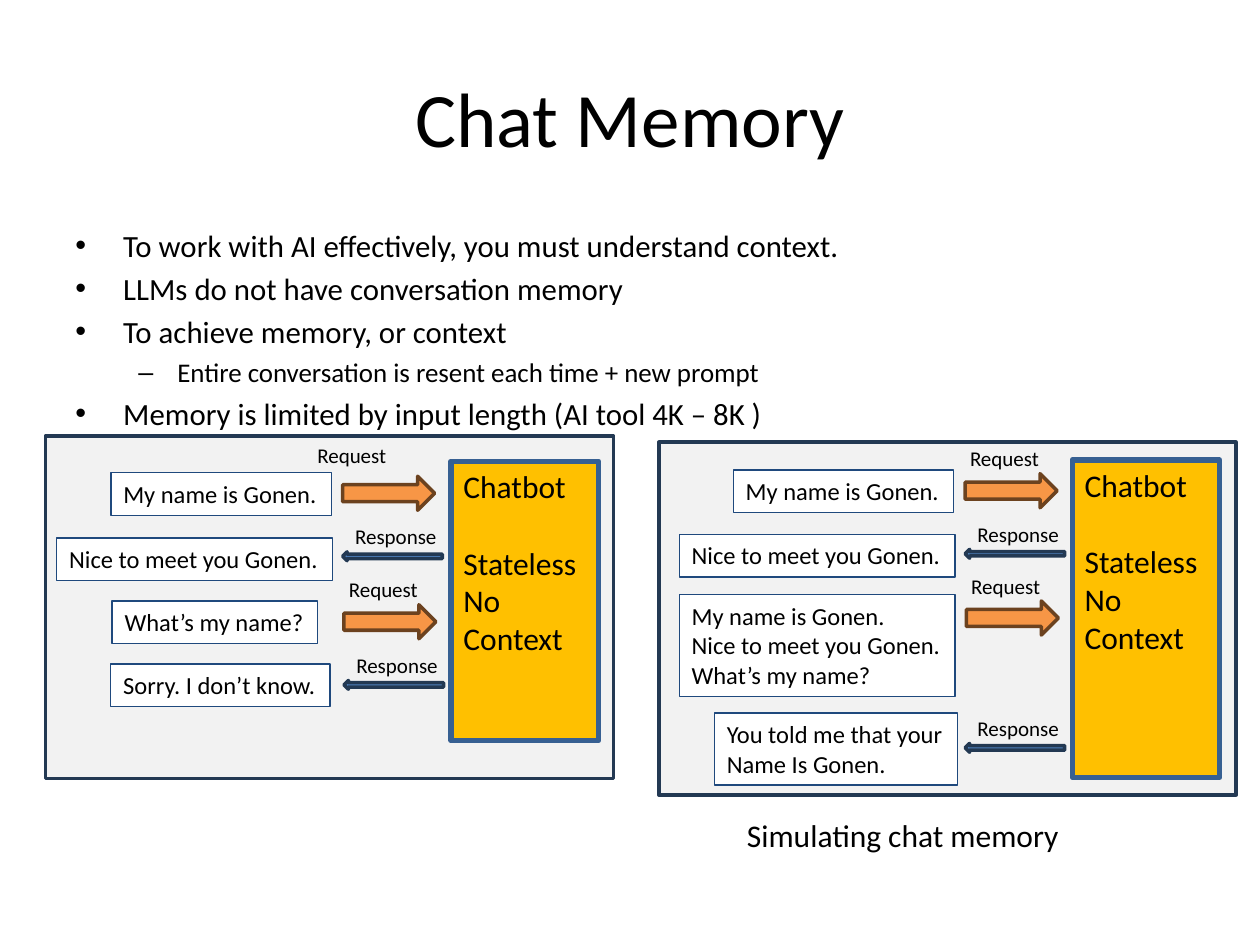
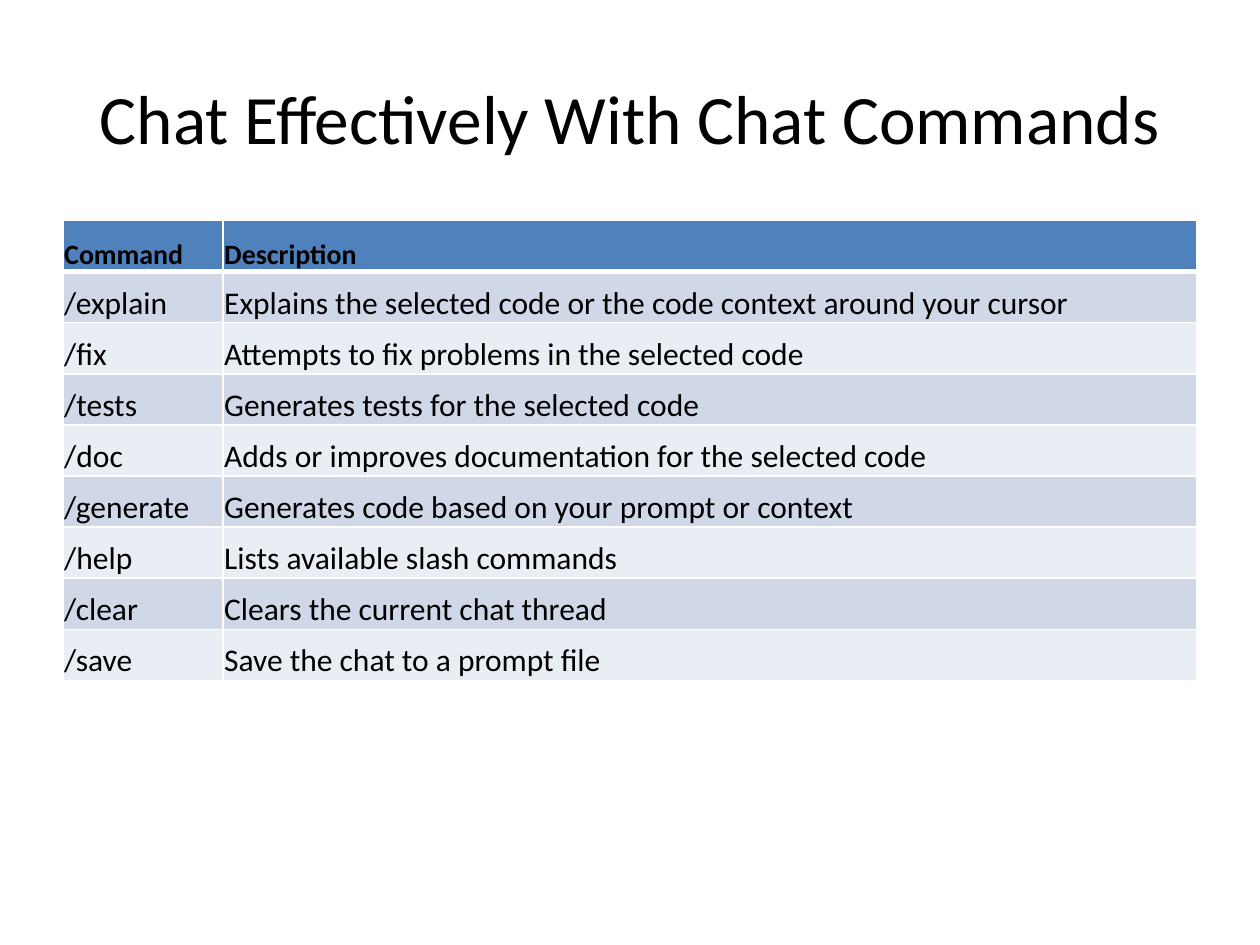
from lxml.etree import SubElement
from pptx import Presentation
from pptx.dml.color import RGBColor
from pptx.enum.shapes import MSO_SHAPE
from pptx.enum.text import MSO_ANCHOR, PP_ALIGN
from pptx.oxml.ns import qn
from pptx.util import Inches, Pt

FONT = "Calibri"
COLORS = {
    "text": "000000", "white": "FFFFFF", "panel": "F2F2F2", "navy": "233953",
    "message_line": "1F497D", "server": "FFC000", "server_line": "376092",
    "request": "F79646", "request_line": "6C421F", "response": "4F81BD",
    "header": "4F81BD", "band_dark": "D0D8E8", "band_light": "E9EDF4",
}

BULLETS = [
    (0, "To work with AI effectively, you must understand context."),
    (0, "LLMs do not have conversation memory"),
    (0, "To achieve memory, or context"),
    (1, "Entire conversation is resent each time + new prompt"),
    (0, "Memory is limited by input length (AI tool 4K – 8K )"),
]
# Per bullet level: character, indent, hanging part, text size
BULLET_LEVELS = [("•", 0.38, 0.38, 17.6), ("–", 0.81, 0.31, 15.4)]

# Exchanges: message lines, message box, arrow position (relative to the panel)
STATELESS_CHAT = [
    (["My name is Gonen."], (0.52, 0.29, 1.75, 0.34), (2.36, 0.32)),
    (["Nice to meet you Gonen."], (0.09, 0.81, 2.19, 0.34), (2.36, 0.92)),
    (["What’s my name?"], (0.53, 1.31, 1.63, 0.34), (2.37, 1.34)),
    (["Sorry. I don’t know."], (0.52, 1.81, 1.74, 0.34), (2.37, 1.94)),
]
SIMULATED_CHAT = [
    (["My name is Gonen."], (0.59, 0.22, 1.75, 0.34), (2.43, 0.25)),
    (["Nice to meet you Gonen."], (0.16, 0.73, 2.19, 0.34), (2.43, 0.85)),
    (["My name is Gonen.", "Nice to meet you Gonen.", "What’s my name?"],
     (0.16, 1.21, 2.19, 0.81), (2.44, 1.26)),
    (["You told me that your", "Name Is Gonen."],
     (0.44, 2.15, 1.93, 0.57), (2.43, 2.39)),
]

COMMANDS = [
    ("Command", "Description"),
    ("/explain", "Explains the selected code or the code context around your cursor"),
    ("/fix", "Attempts to fix problems in the selected code"),
    ("/tests", "Generates tests for the selected code"),
    ("/doc", "Adds or improves documentation for the selected code"),
    ("/generate", "Generates code based on your prompt or context"),
    ("/help", "Lists available slash commands"),
    ("/clear", "Clears the current chat thread"),
    ("/save", "Save the chat to a prompt file"),
]


def rgb(name):
    return RGBColor.from_string(COLORS[name])


def inches(box):
    return [Inches(v) for v in box]


def style(p, size, bold=False):
    p.font.name = FONT
    p.font.size = Pt(size)
    p.font.bold = bold
    p.font.color.rgb = rgb("text")


def write(tf, lines, size, wrap=False):
    """Fill a text frame with left-aligned paragraphs from the top."""
    tf.word_wrap = wrap
    tf.vertical_anchor = MSO_ANCHOR.TOP
    tf.text = "\n".join(lines)
    for p in tf.paragraphs:
        p.alignment = PP_ALIGN.LEFT
        style(p, size)


def add_box(slide, box, fill, line, width, kind=MSO_SHAPE.RECTANGLE):
    sp = slide.shapes.add_shape(kind, *inches(box))
    sp.shadow.inherit = False
    sp.fill.solid()
    sp.fill.fore_color.rgb = rgb(fill)
    sp.line.color.rgb = rgb(line)
    sp.line.width = Pt(width)
    return sp


def add_label(slide, box, text, size):
    write(slide.shapes.add_textbox(*inches(box)).text_frame, [text], size)


def add_titled_slide(prs, title, size):
    slide = prs.slides.add_slide(prs.slide_layouts[5])
    sp = slide.shapes.title
    sp.left, sp.top, sp.width, sp.height = inches((0.5, 0.3, 9, 1.25))
    tf = sp.text_frame
    tf.text = title
    tf.vertical_anchor = MSO_ANCHOR.MIDDLE
    tf.paragraphs[0].alignment = PP_ALIGN.CENTER
    style(tf.paragraphs[0], size)
    return slide


def add_bullets(slide, box, bullets):
    tf = slide.shapes.add_textbox(*inches(box)).text_frame
    write(tf, [text for _, text in bullets], 18, wrap=True)
    for i, (p, (level, _)) in enumerate(zip(tf.paragraphs, bullets)):
        char, indent, hanging, size = BULLET_LEVELS[level]
        p.level = level
        if i:
            p.space_before = Pt(3.5)
        pPr = p._p.get_or_add_pPr()
        pPr.set("marL", str(Inches(indent)))
        pPr.set("indent", str(-Inches(hanging)))
        for tag, attrs in (("a:buFont", {"typeface": "Arial"}),
                           ("a:buChar", {"char": char})):
            pPr.insert_element_before(pPr.makeelement(qn(tag), attrs),
                                      "a:tabLst", "a:defRPr", "a:extLst")
        style(p, size)


def add_request(slide, x, y, label_offset=(-0.06, -0.27)):
    add_box(slide, (x, y, 0.73, 0.27), "request", "request_line", 2,
            MSO_SHAPE.RIGHT_ARROW)
    dx, dy = label_offset
    add_label(slide, (x + dx, y + dy, 0.75, 0.3), "Request", 12)


def add_response(slide, x, y):
    arrow = add_box(slide, (x, y, 0.79, 0.07), "response", "navy", 2,
                    MSO_SHAPE.RIGHT_ARROW)
    arrow.rotation = 180
    add_label(slide, (x, y - 0.27, 0.86, 0.3), "Response", 12)


def add_chat_panel(slide, box, exchanges, server_box, server_lines,
                   first_label=(-0.06, -0.27)):
    """Draw messages that alternate between request and response beside a server."""
    left, top = box[:2]

    def place(x, y, *size):
        return (left + x, top + y, *size)

    add_box(slide, box, "panel", "navy", 2)
    server = add_box(slide, place(*server_box), "server", "server_line", 3)
    write(server.text_frame, server_lines, 18, wrap=True)
    server.text_frame.paragraphs[1].space_before = Pt(22)

    for i, (lines, message_box, arrow_at) in enumerate(exchanges):
        message = add_box(slide, place(*message_box), "white", "message_line", 0.75)
        write(message.text_frame, lines, 14)
        if i % 2:
            add_response(slide, *place(*arrow_at))
        elif i == 0:
            add_request(slide, *place(*arrow_at), first_label)
        else:
            add_request(slide, *place(*arrow_at))


def set_borders(cell, bottom_width):
    tcPr = cell._tc.get_or_add_tcPr()
    for side in ("lnL", "lnR", "lnT", "lnB"):
        width = bottom_width if side == "lnB" else 1
        ln = SubElement(tcPr, qn(f"a:{side}"), w=str(Pt(width)))
        fill = SubElement(ln, qn("a:solidFill"))
        SubElement(fill, qn("a:srgbClr"), val=COLORS["white"])


def add_command_table(slide, box, rows, col_widths):
    table = slide.shapes.add_table(len(rows), len(col_widths), *inches(box)).table
    for col, width in zip(table.columns, col_widths):
        col.width = Inches(width)
    for r, row in enumerate(rows):
        header = r == 0
        table.rows[r].height = Inches(box[3] / len(rows))
        fill = "header" if header else "band_dark" if r % 2 else "band_light"
        for c, text in enumerate(row):
            cell = table.cell(r, c)
            cell.text = text
            cell.vertical_anchor = MSO_ANCHOR.BOTTOM
            cell.margin_left = cell.margin_right = cell.margin_top = Inches(0.01)
            cell.margin_bottom = 0
            style(cell.text_frame.paragraphs[0], 16 if header else 18, header)
            set_borders(cell, 3 if header else 1)
            cell.fill.solid()
            cell.fill.fore_color.rgb = rgb(fill)


def build_memory_slide(prs):
    slide = add_titled_slide(prs, "Chat Memory", 44)
    add_bullets(slide, (0.5, 1.75, 9, 1.51), BULLETS)
    add_chat_panel(slide, (0.36, 3.46, 4.51, 2.72), STATELESS_CHAT,
                   (3.22, 0.2, 1.17, 2.22),
                   ["Chatbot", "Stateless", "No Context"],
                   first_label=(-0.3, -0.32))
    add_chat_panel(slide, (5.23, 3.51, 4.58, 2.8), SIMULATED_CHAT,
                   (3.28, 0.14, 1.17, 2.52),
                   ["Chatbot", "Stateless", "No", "Context"])
    add_label(slide, (5.83, 6.43, 2.71, 0.4), "Simulating chat memory", 18)


def build_commands_slide(prs):
    slide = add_titled_slide(prs, "Chat Effectively With Chat Commands", 39.6)
    add_command_table(slide, (0.5, 1.75, 9, 3.65), COMMANDS, (1.27, 7.73))


def main():
    prs = Presentation()
    prs.slide_width, prs.slide_height = Inches(10), Inches(7.5)
    build_memory_slide(prs)
    build_commands_slide(prs)
    prs.save("out.pptx")


if __name__ == "__main__":
    main()
